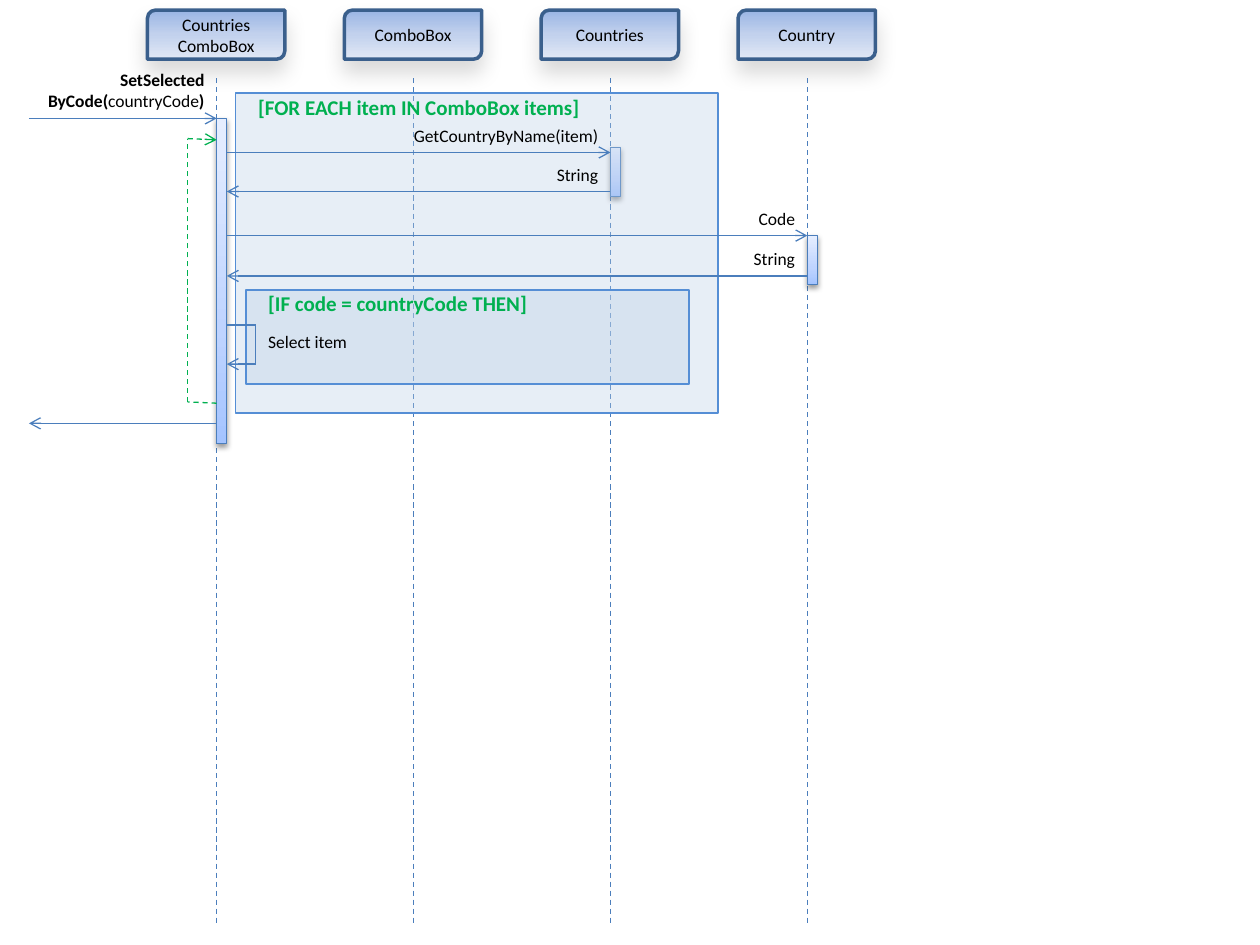
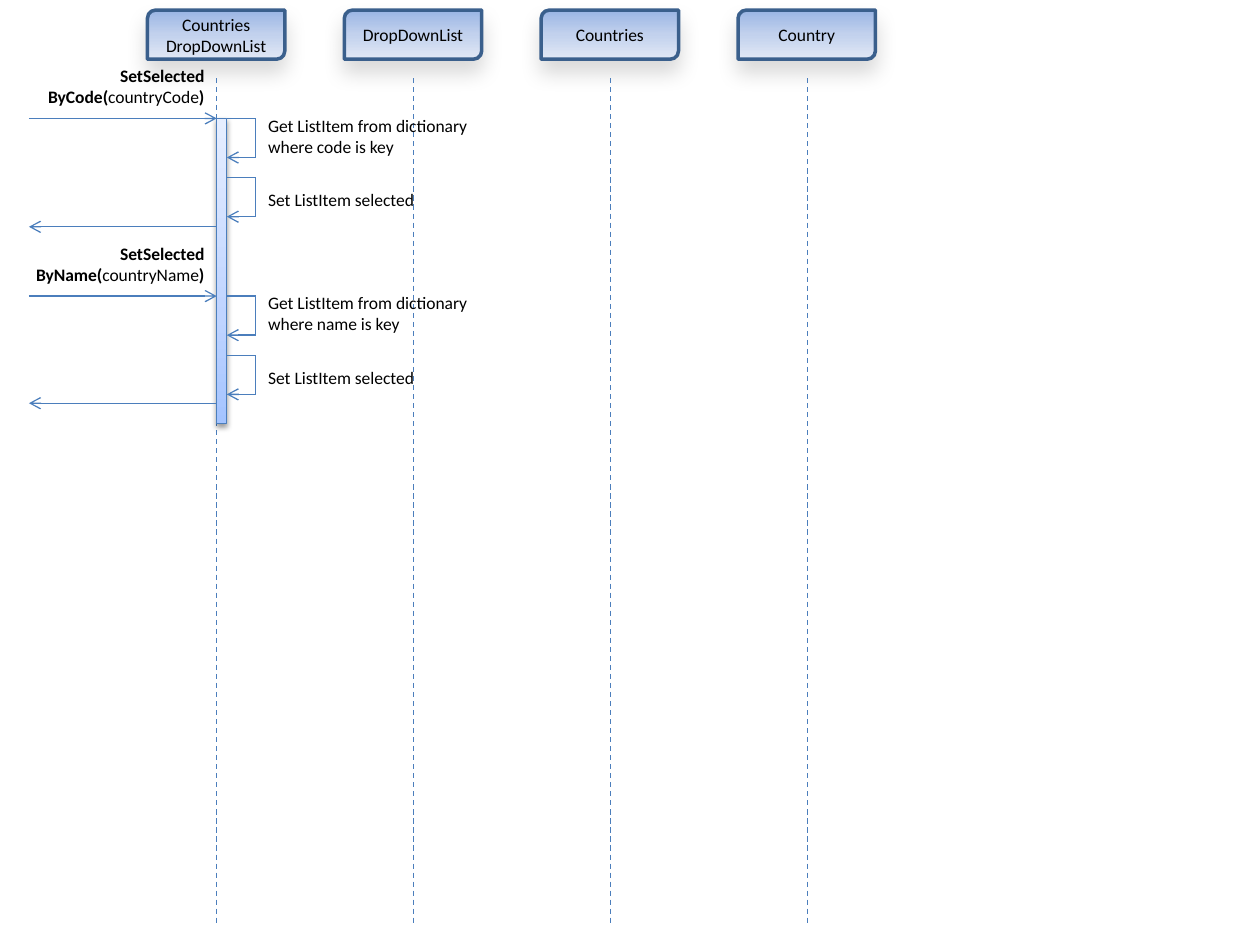
"""Build two sequence diagrams for selecting a country in a list."""
from itertools import pairwise

from lxml.etree import SubElement
from pptx import Presentation
from pptx.dml.color import RGBColor
from pptx.enum.dml import MSO_LINE
from pptx.enum.shapes import MSO_CONNECTOR, MSO_SHAPE
from pptx.enum.text import MSO_ANCHOR, PP_ALIGN
from pptx.oxml import parse_xml
from pptx.oxml.ns import nsdecls, qn
from pptx.util import Inches, Pt

BLUE = RGBColor(0x4B, 0x7E, 0xBC)
NAVY = RGBColor(0x3A, 0x5F, 0x8C)
SKY = RGBColor(0x55, 0x8E, 0xD5)
PALE = RGBColor(0xB9, 0xCD, 0xE5)
GREEN = RGBColor(0x00, 0xB0, 0x50)
BLACK = RGBColor(0, 0, 0)
HEAD_FADE = ((0, RGBColor(0x9A, 0xB5, 0xE4)), (50, RGBColor(0xC2, 0xD1, 0xED)),
             (100, RGBColor(0xE1, 0xE8, 0xF5)))
BAR_FADE = ((0, RGBColor(0xE6, 0xEE, 0xFF)), (65, RGBColor(0xBF, 0xD4, 0xFF)),
            (100, RGBColor(0xA4, 0xC4, 0xFF)))
FONT = "Calibri"
EDGE = 0.23
FIRST, STEP = 1.72, 1.5625
BAR = 0.08
LOOP = 2.03
DROP = 0.31


def life(index):
    """Return the x of a lifeline."""
    return FIRST + STEP * index


def write(frame, text, size=10, color=BLACK, align=PP_ALIGN.LEFT):
    """Fill a frame, one paragraph a line, with bold between asterisks."""
    frame.word_wrap = True
    for row, line in enumerate(text.split("\n")):
        para = frame.paragraphs[0] if row == 0 else frame.add_paragraph()
        para.alignment = align
        for part, bit in enumerate(line.split("*")):
            if bit:
                run = para.add_run()
                run.text = bit
                font = run.font
                font.name, font.size, font.bold = FONT, Pt(size), part % 2 == 1
                font.color.rgb = color


def label(slide, text, left, top, width, height=0.27, **style):
    """Add a text box."""
    box = slide.shapes.add_textbox(*map(Inches, (left, top, width, height)))
    write(box.text_frame, text, **style)


def shape(slide, kind, place, edge, weight):
    """Add a preset shape with a plain outline and no shadow."""
    item = slide.shapes.add_shape(kind, *map(Inches, place))
    item.shadow.inherit = False
    item.line.color.rgb = edge
    item.line.width = Pt(weight)
    return item


def fade(item, stops):
    """Give a shape a gradient that runs downwards."""
    item.fill.background()
    props = item.element.spPr
    grad = parse_xml(f'<a:gradFill {nsdecls("a")} rotWithShape="1"><a:gsLst/>'
                     '<a:lin ang="5400000" scaled="0"/></a:gradFill>')
    for spot, color in stops:
        stop = SubElement(grad[0], qn("a:gs"), pos=str(spot * 1000))
        SubElement(stop, qn("a:srgbClr"), val=str(color))
    props.replace(props.find(qn("a:noFill")), grad)


def shade(item, alpha, blur, gap, **scale):
    """Add a black shadow below a shape."""
    effects = item.element.spPr.find(qn("a:effectLst"))
    cast = SubElement(effects, qn("a:outerShdw"), blurRad=str(Pt(blur)),
                      dist=str(Pt(gap)), dir="5400000", rotWithShape="0", **scale)
    color = SubElement(cast, qn("a:srgbClr"), val=str(BLACK))
    SubElement(color, qn("a:alpha"), val=str(alpha * 1000))


def route(slide, *points, color=BLUE, dash=False, arrow=True):
    """Join points with lines, the last one ending in an arrow."""
    for start, end in pairwise(points):
        line = slide.shapes.add_connector(MSO_CONNECTOR.STRAIGHT,
                                          *map(Inches, (*start, *end)))
        line.line.color.rgb = color
        line.line.width = Pt(0.75)
        if dash:
            line.line.dash_style = MSO_LINE.DASH
        if arrow and end == points[-1]:
            SubElement(line.line._get_or_add_ln(), qn("a:tailEnd"), type="arrow")
        SubElement(line.element.spPr, qn("a:effectLst"))


def actors(slide, names):
    """Draw the heads and the lifelines below them."""
    for index, name in enumerate(names):
        x = life(index)
        head = shape(slide, MSO_SHAPE.ROUND_2_DIAG_RECTANGLE,
                     (x - 0.55, 0.08, 1.09, 0.39), NAVY, 2)
        fade(head, HEAD_FADE)
        shade(head, 15, 12, 7, sy="-19000", algn="b")
        head.text_frame.vertical_anchor = MSO_ANCHOR.MIDDLE
        write(head.text_frame, name, align=PP_ALIGN.CENTER)
        route(slide, (x, 0.62), (x, 7.34), dash=True, arrow=False)


def active(slide, index, top, height):
    """Draw an activation bar on a lifeline."""
    bar = shape(slide, MSO_SHAPE.RECTANGLE, (life(index), top, BAR, height), BLUE, 0.75)
    fade(bar, BAR_FADE)
    shade(bar, 38, 3.1, 1.6)


def block(slide, text, left, top, width, height):
    """Draw a translucent fragment with its condition."""
    area = shape(slide, MSO_SHAPE.RECTANGLE, (left, top, width, height), SKY, 1)
    area.fill.solid()
    area.fill.fore_color.rgb = PALE
    color = area.element.spPr.find(qn("a:solidFill"))[0]
    SubElement(color, qn("a:alpha"), val="33000")
    label(slide, f"*{text}*", left + 0.08, top - 0.04, 3.67, 0.3, size=12, color=GREEN)


def enter(slide, text, y, top):
    """Draw a call that comes in from the left edge."""
    route(slide, (EDGE, y), (FIRST, y))
    label(slide, text, 0, top, FIRST, 0.44, align=PP_ALIGN.RIGHT)


def leave(slide, y):
    """Draw a return to the left edge."""
    route(slide, (FIRST, y), (EDGE, y))


def ask(slide, index, text, y, back):
    """Draw a call to another lifeline and the string it returns."""
    near, far = FIRST + BAR, life(index)
    route(slide, (near, y), (far, y))
    route(slide, (far, back), (near, back))
    for words, line in ((text, y), ("String", back)):
        label(slide, words, far - 1.8, line - 0.27, 1.8, align=PP_ALIGN.RIGHT)


def own(slide, text, y, top, height=0.27):
    """Draw a call from the first lifeline to itself."""
    near = FIRST + BAR
    route(slide, (near, y), (LOOP, y), (LOOP, y + DROP), (near, y + DROP))
    label(slide, text, LOOP, top, 1.88, height)


def combo(slide):
    """Draw the diagram for the combo box."""
    actors(slide, ("Countries\nComboBox", "ComboBox", "Countries", "Country"))
    for index, top, height in ((0, 0.94, 2.58), (2, 1.17, 0.39), (3, 1.87, 0.39)):
        active(slide, index, top, height)
    enter(slide, "*SetSelected*\n*ByCode(*countryCode*)*", 0.94, 0.5)
    block(slide, "[FOR EACH item IN ComboBox items]", 1.87, 0.74, 3.83, 2.54)
    ask(slide, 2, "GetCountryByName(item)", 1.21, 1.52)
    ask(slide, 3, "Code", 1.87, 2.19)
    block(slide, "[IF code = countryCode THEN]", 1.95, 2.3, 3.52, 0.75)
    own(slide, "Select item", 2.58, 2.58)
    route(slide, (FIRST, 3.2), (1.49, 3.19), (1.49, 1.1), (FIRST, 1.11),
          color=GREEN, dash=True)
    leave(slide, 3.36)


def drop(slide):
    """Draw the diagram for the drop-down list."""
    actors(slide, ("Countries\nDropDownList", "DropDownList", "Countries", "Country"))
    active(slide, 0, 0.94, 2.42)
    for key, y, end in (("Code", 0.94, 1.8), ("Name", 2.35, 3.2)):
        enter(slide, f"*SetSelected*\n*By{key}(*country{key}*)*", y, y - 0.47)
        own(slide, f"Get ListItem from dictionary where {key.lower()} is key",
            y, y - 0.08, 0.44)
        own(slide, "Set ListItem selected", y + 0.47, y + 0.51)
        leave(slide, end)


def main():
    """Make the deck and save it."""
    deck = Presentation()
    deck.slide_width, deck.slide_height = Inches(10), Inches(7.5)
    for draw in (combo, drop):
        draw(deck.slides.add_slide(deck.slide_layouts[6]))
    deck.save("out.pptx")


if __name__ == "__main__":
    main()
